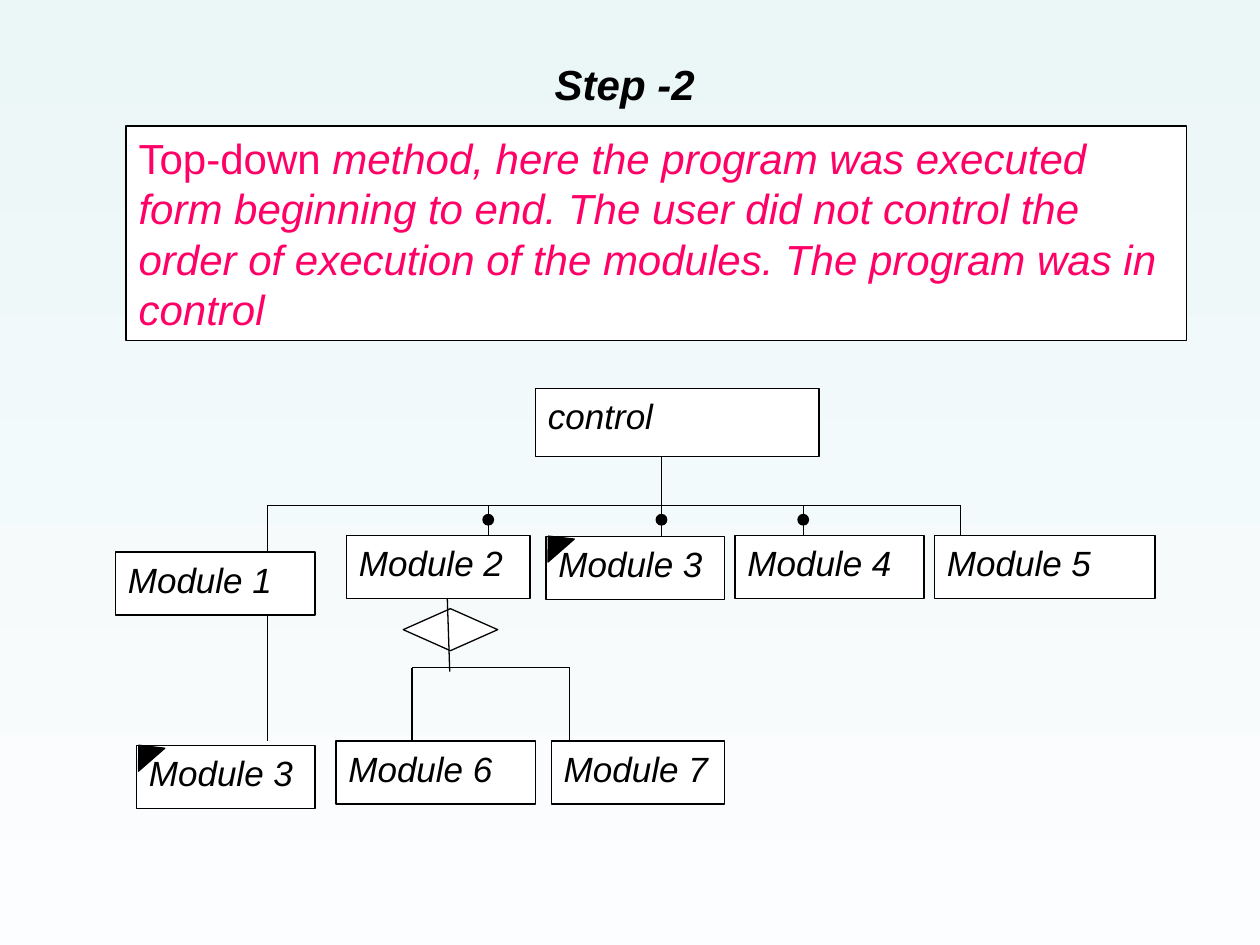
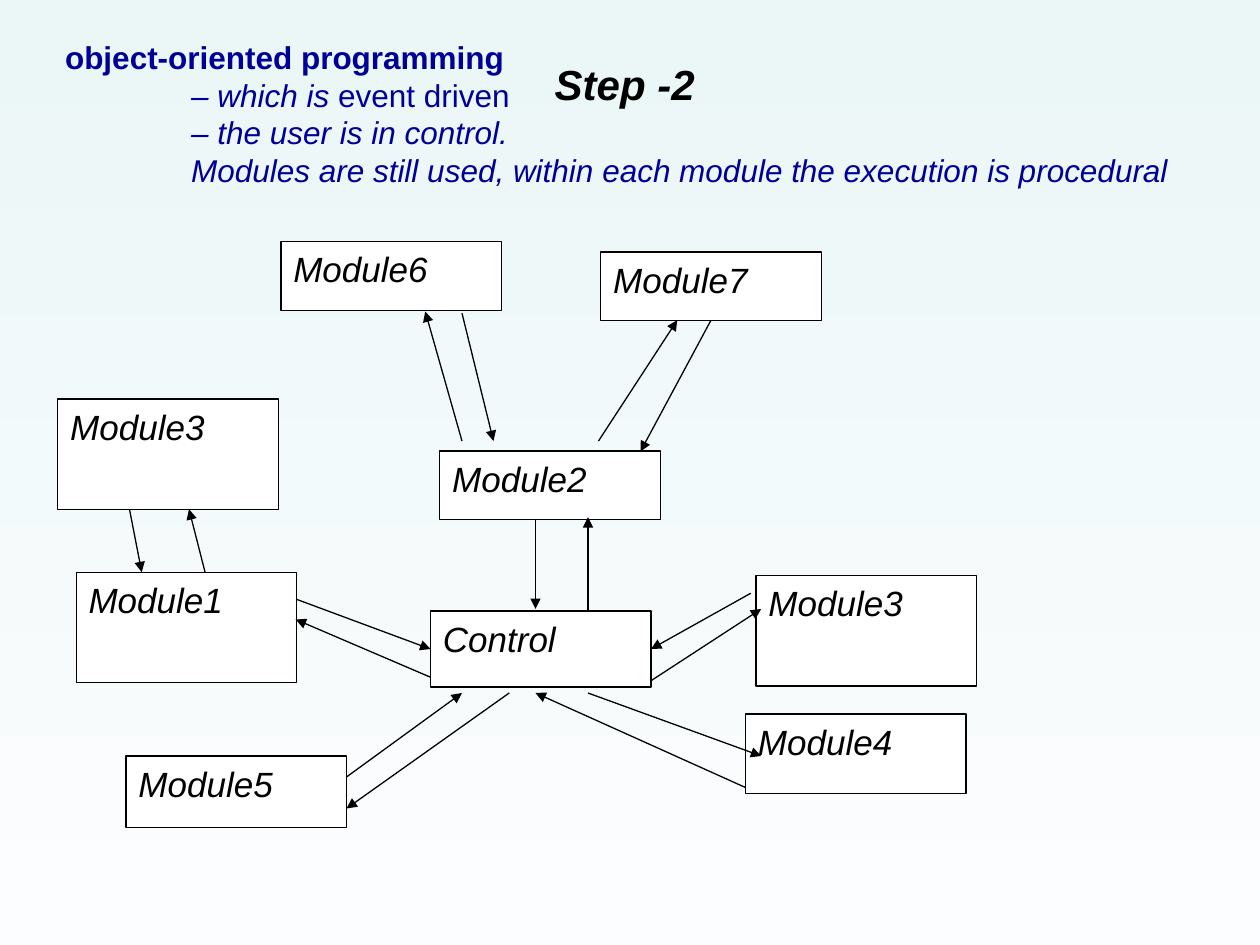
from dataclasses import dataclass

from lxml.etree import SubElement
from pptx import Presentation
from pptx.dml.color import RGBColor
from pptx.enum.shapes import MSO_CONNECTOR, MSO_SHAPE
from pptx.enum.text import MSO_ANCHOR, MSO_AUTO_SIZE, PP_ALIGN
from pptx.oxml.ns import qn
from pptx.util import Pt


@dataclass(frozen=True)
class Theme:
    font: str = "Arial"
    black: str = "000000"
    white: str = "FFFFFF"
    pink: str = "FF0066"
    navy: str = "000099"
    sky_top: str = "EBF6F7"
    sky_bottom: str = "FCFDFE"
    large: int = 24
    label: int = 20
    small: int = 18
    line: float = 0.75


T = Theme()

# Shared content: a paragraph is (left indent, [(text, style letters)])
TITLE = [(0, [("Step -2", "bi")])]
TITLE_AT = (300, 30, 114, 36)

# Slide 1: top-down program
TOP_DOWN_TEXT = [(0, [
    ("Top-down", ""),
    (" method, here the program was executed form beginning to end. "
     "The user did not control the order of execution of the modules. "
     "The program was in control", "i"),
])]
TOP_DOWN_AT = (72, 72, 606, 122.5)
TREE_BOXES = [  # label, left, top, width, height, shared-module flag
    ("control", 306, 222, 162, 39, False),
    ("Module 1", 66, 315.5, 114, 36, False),
    ("Module 2", 198, 306, 105, 36, False),
    ("Module 3", 312, 306.5, 102, 36, True),
    ("Module 4", 420, 306, 108, 36, False),
    ("Module 5", 534, 306, 126, 36, False),
    ("Module 6", 192, 423.5, 114, 36, False),
    ("Module 7", 315, 423.5, 99, 36, False),
    ("Module 3", 78, 426, 102, 36, True),
]
BUS_Y = 288.7
STEMS = [(153, 315.5), (279, 306), (378, 306.5), (459, 306), (549, 306)]
LOOP_STEMS = STEMS[1:4]
BRANCH_Y, BRANCH_STEMS, BRANCH_END = 381.6, (235.5, 325.5), 423.5
DECISION_AT = (230.4, 347.8, 54, 24)
DOT = 6

# Slide 2: event-driven program
EVENT_TEXT = [
    (0, [("object-oriented programming", "b")]),
    (72, [("– which is ", "i"), ("event driven", "")]),
    (72, [("– the user is in control.", "i")]),
    (72, [("Modules are still used, within each module "
           "the execution is procedural", "i")]),
]
EVENT_AT = (30, 18, 654, 93.6)
MODULE_W = 126
EVENT_BOXES = {  # key: label, left, top, height
    "right": ("Module3", 432, 329, 63),
    "control": ("Control", 246, 349.2, 43.4),
    "m2": ("Module2", 251.3, 257.8, 39),
    "m1": ("Module1", 43.5, 327, 63),
    "left": ("Module3", 33, 228, 63),
    "m6": ("Module6", 160.5, 138, 39.5),
    "m7": ("Module7", 343.3, 144, 39),
    "m4": ("Module4", 426, 408, 45.5),
    "m5": ("Module5", 72, 432, 41),
}
ARROWS = [  # from, to; a (box key, side) pair joins the middle of that side
    ((117.2, 327), (108, 291)),
    ((74, 291), (81, 327)),
    ((198, 444), (264, 396)),
    ((291, 396), (198, 462)),
    ((372, 389), (435, 348)),
    ((429, 339), ("control", 3)),
    ((336, 349.2), (336, 295.5)),
    ((306, 296.8), (306, 348)),
    ((246, 387), (169, 354)),
    ((169.5, 342.5), ("control", 1)),
    ((264, 252), (243, 178)),
    ((264, 179), (282, 252)),
    ((342, 252), (387, 183)),
    (("m7", 2), (366, 258)),
    ((336, 396), (435, 432)),
    ((426, 450), (306, 396)),
]


# Drawing helpers
def rgb(value):
    return RGBColor.from_string(value)


def write(tf, paras, *, size=T.label, color=T.black, align=PP_ALIGN.LEFT,
          anchor=MSO_ANCHOR.TOP):
    tf.word_wrap = True
    tf.auto_size = MSO_AUTO_SIZE.NONE
    tf.vertical_anchor = anchor
    tf.margin_left = tf.margin_right = Pt(7.2)
    tf.margin_top = tf.margin_bottom = Pt(3.6)
    for i, (indent, runs) in enumerate(paras):
        p = tf.add_paragraph() if i else tf.paragraphs[0]
        pPr = p._p.get_or_add_pPr()
        pPr.set("marL", str(int(Pt(indent))))
        pPr.set("indent", "0")
        SubElement(pPr, qn("a:buNone"))
        p.alignment = align
        p.line_spacing = 1.0
        p.space_before = Pt(0)
        for text, style in runs:
            r = p.add_run()
            r.text = text
            r.font.name, r.font.size = T.font, Pt(size)
            r.font.color.rgb = rgb(color)
            r.font.bold, r.font.italic = "b" in style, "i" in style


def place(sp, at):
    sp.left, sp.top, sp.width, sp.height = map(Pt, at)


def paint(sp, fill):
    sp.fill.solid()
    sp.fill.fore_color.rgb = rgb(fill)
    sp.line.color.rgb = rgb(T.black)
    sp.line.width = Pt(T.line)


def shape(s, kind, at, fill=T.white):
    sp = s.shapes.add_shape(kind, *map(Pt, at))
    sp.shadow.inherit = False
    paint(sp, fill)
    return sp


def box(s, label, at, kind=MSO_SHAPE.RECTANGLE):
    sp = shape(s, kind, at)
    write(sp.text_frame, [(0, [(label, "i")])])
    return sp


def line(s, start, end, arrow=False):
    c = s.shapes.add_connector(MSO_CONNECTOR.STRAIGHT, *map(Pt, start + end))
    c.line.color.rgb = rgb(T.black)
    c.line.width = Pt(T.line)
    if arrow:
        SubElement(c.line._get_or_add_ln(), qn("a:tailEnd"), type="triangle")
    SubElement(c._element.spPr, qn("a:effectLst"))
    return c


def new_slide(prs, body, at, **fmt):
    s = prs.slides.add_slide(prs.slide_layouts[1])
    title, content = s.shapes.title, s.placeholders[1]
    place(title, TITLE_AT)
    write(title.text_frame, TITLE, size=T.large, align=PP_ALIGN.CENTER)
    place(content, at)
    write(content.text_frame, body, **fmt)
    return s


# Slides
def top_down_slide(prs):
    s = new_slide(prs, TOP_DOWN_TEXT, TOP_DOWN_AT, size=T.large,
                  color=T.pink, anchor=MSO_ANCHOR.MIDDLE)
    paint(s.placeholders[1], T.white)
    shape(s, MSO_SHAPE.FLOWCHART_DECISION, DECISION_AT)
    for label, x, y, w, h, shared in TREE_BOXES:
        box(s, label, (x, y, w, h))
        if shared:
            flag = shape(s, MSO_SHAPE.ISOSCELES_TRIANGLE,
                         (x - 5, y - 1.5, 20, 11), T.black)
            flag.rotation = 318.9

    # Control bus and its stems
    line(s, (STEMS[0][0], BUS_Y), (STEMS[-1][0], BUS_Y))
    line(s, (378, 261), (378, BUS_Y))
    for x, bottom in STEMS:
        line(s, (x, BUS_Y), (x, bottom))
    for x, _ in LOOP_STEMS:
        shape(s, MSO_SHAPE.OVAL, (x - DOT / 2, 294, DOT, DOT), T.black)

    # Second level
    line(s, (153, 351.5), (153, 423.5))
    line(s, (255.6, 342), (257, 383.8))
    line(s, (BRANCH_STEMS[0], BRANCH_Y), (BRANCH_STEMS[1], BRANCH_Y))
    for x in BRANCH_STEMS:
        line(s, (x, BRANCH_Y), (x, BRANCH_END))


def event_slide(prs):
    s = new_slide(prs, EVENT_TEXT, EVENT_AT, size=T.small, color=T.navy)
    boxes = {}
    for key, (label, x, y, h) in EVENT_BOXES.items():
        kind = (MSO_SHAPE.FLOWCHART_PROCESS if key == "right"
                else MSO_SHAPE.RECTANGLE)
        boxes[key] = box(s, label, (x, y, MODULE_W, h), kind)
    for start, end in ARROWS:
        joins = [isinstance(point[0], str) for point in (start, end)]
        c = line(s, (0, 0) if joins[0] else start,
                 (0, 0) if joins[1] else end, arrow=True)
        if joins[0]:
            c.begin_connect(boxes[start[0]], start[1])
        if joins[1]:
            c.end_connect(boxes[end[0]], end[1])


def main():
    prs = Presentation()
    prs.slide_width, prs.slide_height = Pt(720), Pt(540)
    fill = prs.slide_master.background.fill
    fill.gradient()
    fill.gradient_angle = 270
    for stop, color in zip(fill.gradient_stops, (T.sky_top, T.sky_bottom)):
        stop.color.rgb = rgb(color)
    top_down_slide(prs)
    event_slide(prs)
    prs.save("out.pptx")


if __name__ == "__main__":
    main()
